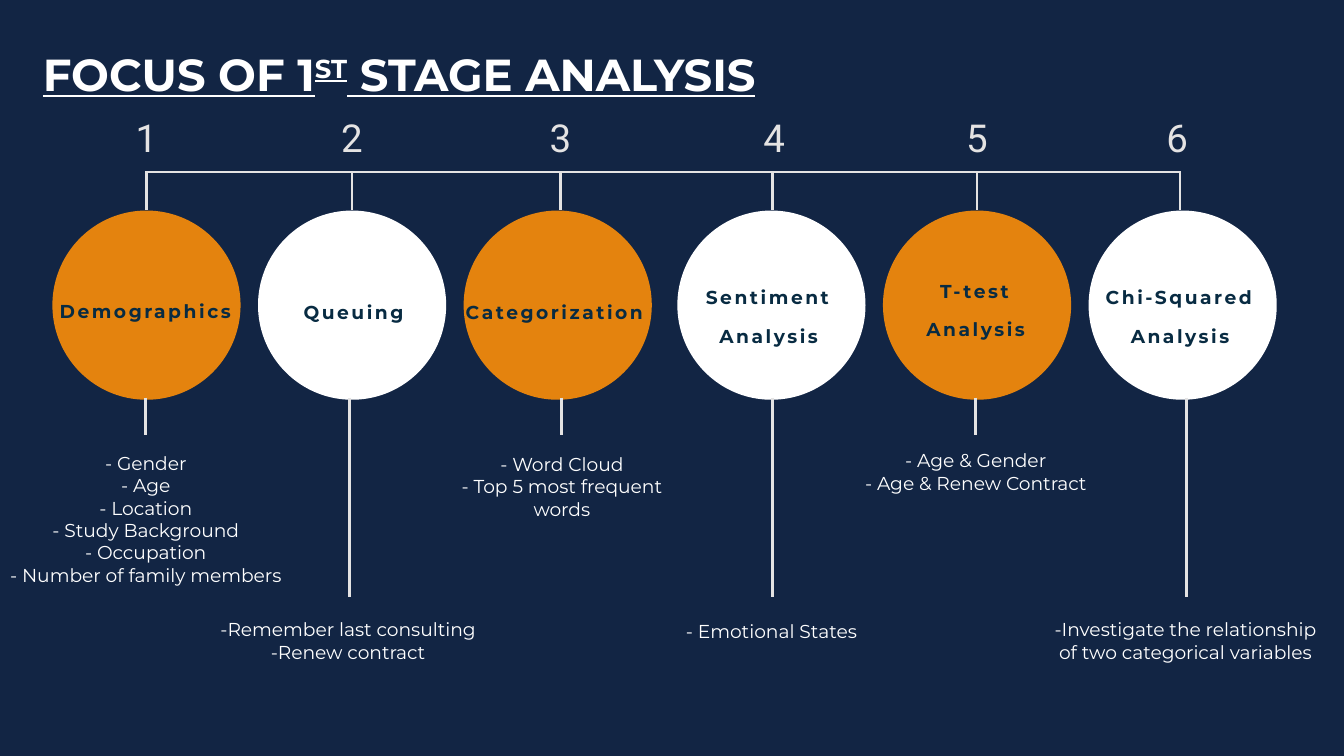
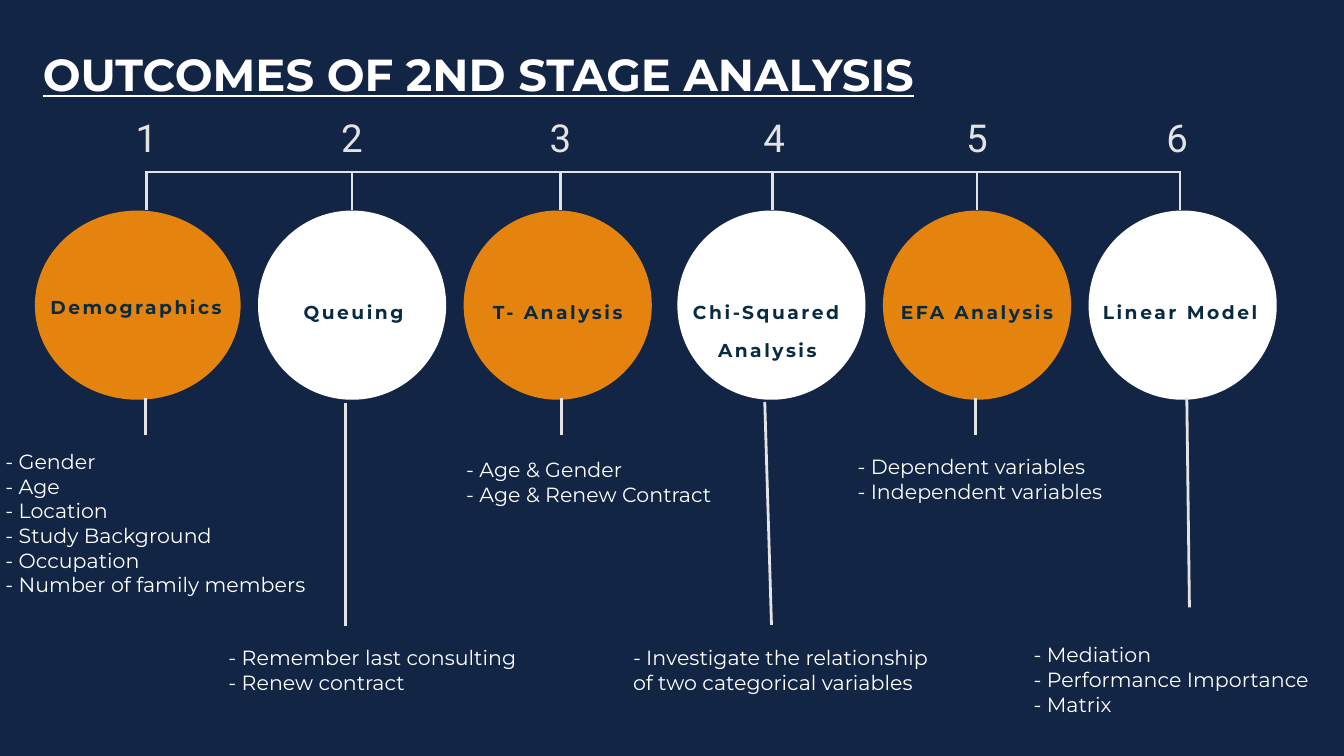
from dataclasses import dataclass

from lxml.etree import SubElement
from pptx import Presentation
from pptx.dml.color import RGBColor
from pptx.enum.shapes import MSO_CONNECTOR as Connector, MSO_SHAPE as Preset
from pptx.enum.text import MSO_ANCHOR as Anchor, MSO_AUTO_SIZE as AutoSize, PP_ALIGN as Align
from pptx.oxml.ns import qn
from pptx.util import Pt

COLORS = {
    "navy": "122544",
    "orange": "E4830E",
    "white": "FFFFFF",
    "rule": "E4E3E3",
    "label": "082B42",
}
HEADING_FONT = "Montserrat"
NUMBER_FONT = "Roboto"

TIMELINE_Y = 92.2
TICK_XS = (78.5, 188.6, 300.2, 414, 523.4, 632.2)
NUMBER_XS = (78.5, 188.6, 300.2, 414.7, 523.4, 630.7)
CIRCLE_TOP = 112.8
CIRCLE_WIDTH, CIRCLE_HEIGHT = 100.8, 101.4
CIRCLE_STEP = 110.15
STEM_TOP, SHORT_STEM_END, LONG_STEM_END = 213.1, 233.3, 319.7


@dataclass
class Step:
    label: str
    label_center: float
    label_top: float
    stem: tuple
    detail_box: tuple
    details: tuple
    circle_extra: float = 0


def color(name):
    return RGBColor.from_string(COLORS[name])


def short_stem(x):
    return x, STEM_TOP, x, SHORT_STEM_END


def long_stem(x):
    return x, STEM_TOP, x, LONG_STEM_END


def style_run(run, size, tone, font=HEADING_FONT, bold=False, spacing=0):
    run.font.size = Pt(size)
    run.font.name = font
    run.font.bold = bold
    run.font.color.rgb = color(tone)
    if spacing:
        run.font._element.set("spc", str(round(spacing * 100)))


def add_title(slide, parts):
    title = slide.shapes.title
    title.left, title.top, title.width, title.height = Pt(15.8), Pt(27.4), Pt(537.8), Pt(33.8)
    frame = title.text_frame
    frame.word_wrap = True
    frame.auto_size = AutoSize.NONE
    frame.vertical_anchor = Anchor.BOTTOM
    frame.margin_left = frame.margin_right = frame.margin_top = frame.margin_bottom = Pt(7.2)
    heading = frame.paragraphs[0]
    heading.alignment = Align.LEFT
    for text, baseline in parts:
        run = heading.add_run()
        run.text = text
        style_run(run, 24, "white", bold=True)
        run.font.underline = True
        if baseline:
            run.font._element.set("baseline", str(baseline * 1000))


def add_text(slide, box, lines, align, line_spacing=None, **style):
    holder = slide.shapes.add_textbox(*(Pt(length) for length in box))
    frame = holder.text_frame
    frame.word_wrap = True
    frame.auto_size = AutoSize.SHAPE_TO_FIT_TEXT
    frame.margin_left = frame.margin_right = frame.margin_top = frame.margin_bottom = 0
    frame.text = "\n".join(lines)
    for paragraph in frame.paragraphs:
        paragraph.alignment = align
        if line_spacing:
            paragraph.line_spacing = Pt(line_spacing)
        for run in paragraph.runs:
            style_run(run, **style)


def add_rule(slide, x1, y1, x2, y2):
    rule = slide.shapes.add_connector(Connector.STRAIGHT, Pt(x1), Pt(y1), Pt(x2), Pt(y2))
    rule.line.color.rgb = color("rule")
    rule.line.width = Pt(1.5)
    SubElement(rule._element.spPr, qn("a:effectLst"))


def add_circle(slide, index, extra):
    left = 28.1 + CIRCLE_STEP * index + (4.35 if index > 2 else 0) - extra
    circle = slide.shapes.add_shape(
        Preset.OVAL, Pt(left), Pt(CIRCLE_TOP), Pt(CIRCLE_WIDTH + extra), Pt(CIRCLE_HEIGHT))
    circle.shadow.inherit = False
    circle.fill.solid()
    circle.fill.fore_color.rgb = color("white" if index % 2 else "orange")
    circle.line.fill.background()


def add_timeline(slide):
    add_rule(slide, 77.8, TIMELINE_Y, 632.9, TIMELINE_Y)
    for number, (tick_x, number_x) in enumerate(zip(TICK_XS, NUMBER_XS), 1):
        add_rule(slide, tick_x, CIRCLE_TOP - 0.5, tick_x, TIMELINE_Y)
        add_text(slide, (number_x - 7.2, 61.2, 14.4, 24.6), [str(number)], Align.CENTER, 24.6,
                 size=20.6, tone="rule", font=NUMBER_FONT, spacing=2.5)


def add_step(slide, step, index, detail_size, detail_align):
    add_circle(slide, index, step.circle_extra)
    add_rule(slide, *step.stem)
    width = 93.6 if " " in step.label else CIRCLE_WIDTH
    add_text(slide, (step.label_center - width / 2, step.label_top, width, 20.6),
             [step.label], Align.CENTER, 20.6,
             size=10, tone="label", bold=True, spacing=1.4)
    height = len(step.details) * detail_size * 1.22
    add_text(slide, (*step.detail_box, height), step.details, detail_align,
             size=detail_size, tone="white")


def add_stage_slide(deck, layout, title_parts, steps, detail_size, detail_align):
    slide = deck.slides.add_slide(layout)
    add_title(slide, title_parts)
    add_timeline(slide)
    for index, step in enumerate(steps):
        add_step(slide, step, index, detail_size, detail_align)


DEMOGRAPHICS = ("- Gender", "- Age", "- Location", "- Study Background",
                "- Occupation", "- Number of family members")

FIRST_STAGE = [
    Step("Demographics", 77.8, 151.9, short_stem(77.8), (-2.2, 241.9, 160.6), DEMOGRAPHICS),
    Step("Queuing", 189.4, 152.6, long_stem(187.2), (112.3, 331.2, 148.3),
         ("-Remember last consulting", "-Renew contract")),
    Step("Categorization", 297, 152.6, short_stem(301), (239.8, 242.6, 122.4),
         ("- Word Cloud", "- Top 5 most frequent words")),
    Step("Sentiment Analysis", 411.8, 144.7, long_stem(414), (339.1, 332.2, 148.3),
         ("- Emotional States",)),
    Step("T-test Analysis", 522.7, 141.1, short_stem(522.7), (461.5, 240.5, 122.4),
         ("- Age & Gender", "- Age & Renew Contract")),
    Step("Chi-Squared Analysis", 632.2, 144.7, long_stem(635.8), (560.9, 331.2, 148.3),
         ("-Investigate the relationship", "of two categorical variables")),
]

SECOND_STAGE = [
    Step("Demographics", 72.9, 149.8, short_stem(77.8), (2.9, 240.5, 167), DEMOGRAPHICS,
         circle_extra=9.4),
    Step("Queuing", 189.4, 152.6, (185, 216, 185, 335.5), (122.4, 345.6, 159.1),
         ("- Remember last consulting", "- Renew contract")),
    Step("T- Analysis", 298.8, 152.6, short_stem(301), (249.8, 244.8, 141.8),
         ("- Age & Gender", "- Age & Renew Contract")),
    Step("Chi-Squared Analysis", 411.1, 152.6, (409.7, 215.3, 413.3, 334.8),
         (339.1, 345.6, 167),
         ("- Investigate the relationship", "of two categorical variables")),
    Step("EFA Analysis", 523.4, 152.6, short_stem(522.7), (459.4, 243.4, 143.3),
         ("- Dependent variables", "- Independent variables")),
    Step("Linear Model", 632.2, 152.6, (635.8, 213.1, 637.2, 325.4), (553.7, 344.2, 159.8),
         ("- Mediation", "- Performance Importance", "- Matrix")),
]


def main():
    deck = Presentation()
    deck.slide_width, deck.slide_height = Pt(720), Pt(405)
    title_only = deck.slide_layouts[5]
    backdrop = title_only.background.fill
    backdrop.solid()
    backdrop.fore_color.rgb = color("navy")
    add_stage_slide(deck, title_only, [("FOCUS OF 1", 0), ("ST", 30), (" STAGE ANALYSIS", 0)],
                    FIRST_STAGE, 10, Align.CENTER)
    add_stage_slide(deck, title_only, [("OUTCOMES OF 2ND STAGE ANALYSIS", 0)],
                    SECOND_STAGE, 11, Align.LEFT)
    deck.save("out.pptx")


if __name__ == "__main__":
    main()
